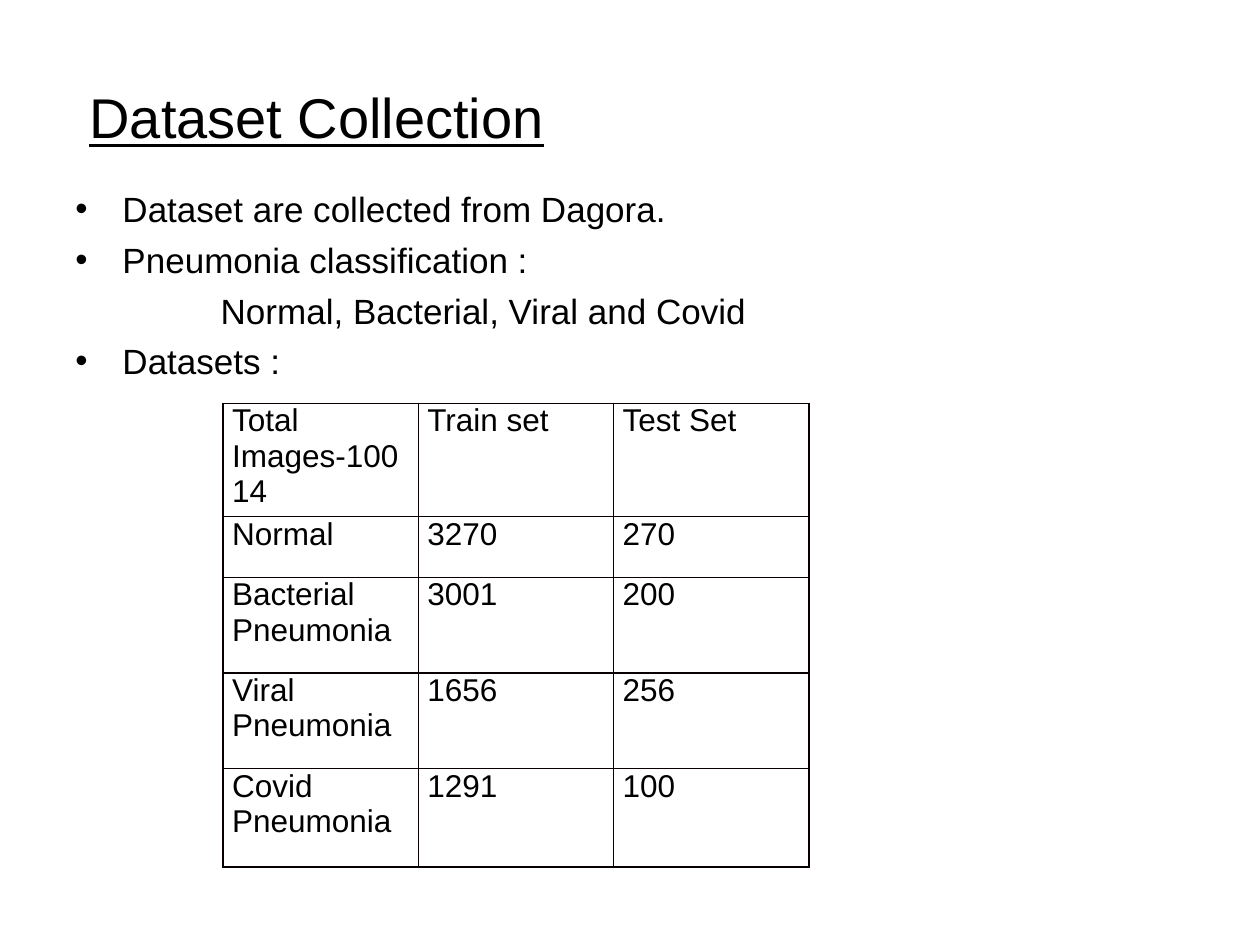
from lxml.etree import SubElement
from pptx import Presentation
from pptx.dml.color import RGBColor
from pptx.enum.text import MSO_ANCHOR, PP_ALIGN
from pptx.oxml.ns import qn
from pptx.util import Cm, Pt

HUES = {"text": "000000", "rule": "080000"}
FONT = "Arial"

POINTS = [
    ("Dataset are collected from Dagora.", True),
    ("Pneumonia classification :", True),
    ("Normal, Bacterial, Viral and Covid", False),
    ("Datasets :", True),
]
ROWS = [
    ("Total Images-10014", "Train set", "Test Set"),
    ("Normal", "3270", "270"),
    ("Bacterial Pneumonia", "3001", "200"),
    ("Viral Pneumonia", "1656", "256"),
    ("Covid Pneumonia", "1291", "100"),
]
HEIGHTS = [1.63, 1.22, 1.93, 1.93, 1.98]


def write(para, text, size, line=False):
    """Add one run of styled text to a paragraph."""
    run = para.add_run()
    run.text = text
    run.font.name = FONT
    run.font.size = Pt(size)
    run.font.underline = line
    run.font.color.rgb = RGBColor.from_string(HUES["text"])


def indent(para, left, first=0, mark=None):
    """Set the indents of a paragraph, and its bullet if it has one."""
    props = para._p.get_or_add_pPr()
    props.set("marL", str(Cm(left)))
    props.set("indent", str(Cm(first)))
    if mark:
        SubElement(props, qn("a:buFont")).set("typeface", FONT)
        SubElement(props, qn("a:buChar")).set("char", mark)


def border(cell):
    """Rule all four sides of a cell."""
    props = cell._tc.get_or_add_tcPr()
    for side in "LRTB":
        edge = SubElement(props, qn(f"a:ln{side}"), w=str(Pt(1)))
        fill = SubElement(edge, qn("a:solidFill"))
        SubElement(fill, qn("a:srgbClr"), val=HUES["rule"])


def head(slide, box):
    """Place the underlined title in the box."""
    title = slide.shapes.title
    title.left, title.top, title.width, title.height = map(Cm, box)
    frame = title.text_frame
    frame.vertical_anchor = MSO_ANCHOR.MIDDLE
    para = frame.paragraphs[0]
    para.alignment = PP_ALIGN.CENTER
    write(para, "Dataset Collection", 32, line=True)


def points(slide, box):
    """Place the bulleted list in the box."""
    frame = slide.shapes.add_textbox(*map(Cm, box)).text_frame
    frame.word_wrap = True
    for i, (text, mark) in enumerate(POINTS):
        para = frame.add_paragraph() if i else frame.paragraphs[0]
        para.alignment = PP_ALIGN.JUSTIFY
        para.space_before = Pt(5)
        if mark:
            indent(para, 0.95, -0.95, "•")
        else:
            indent(para, 2.93)
        write(para, text, 20)


def counts(slide, box):
    """Place the table of image counts in the box."""
    size = len(ROWS), len(ROWS[0])
    table = slide.shapes.add_table(*size, *map(Cm, box)).table
    table.first_row = table.horz_banding = False
    for col in table.columns:
        col.width = Cm(box[2] / size[1])
    for row, high, texts in zip(table.rows, HEIGHTS, ROWS):
        row.height = Cm(high)
        for cell, text in zip(row.cells, texts):
            cell.margin_left = cell.margin_right = Cm(0.18)
            cell.margin_top = cell.margin_bottom = 0
            border(cell)
            cell.fill.background()
            write(cell.text_frame.paragraphs[0], text, 18)


def main():
    """Build the slide and save it."""
    deck = Presentation()
    deck.slide_width, deck.slide_height = Cm(25.4), Cm(19.05)
    slide = deck.slides.add_slide(deck.slide_layouts[5])
    head(slide, (1.27, 0.76, 10.24, 3.18))
    points(slide, (1.27, 3.66, 22.76, 14.22))
    counts(slide, (4.5, 8.13, 11.81, sum(HEIGHTS)))
    deck.save("out.pptx")


main()
